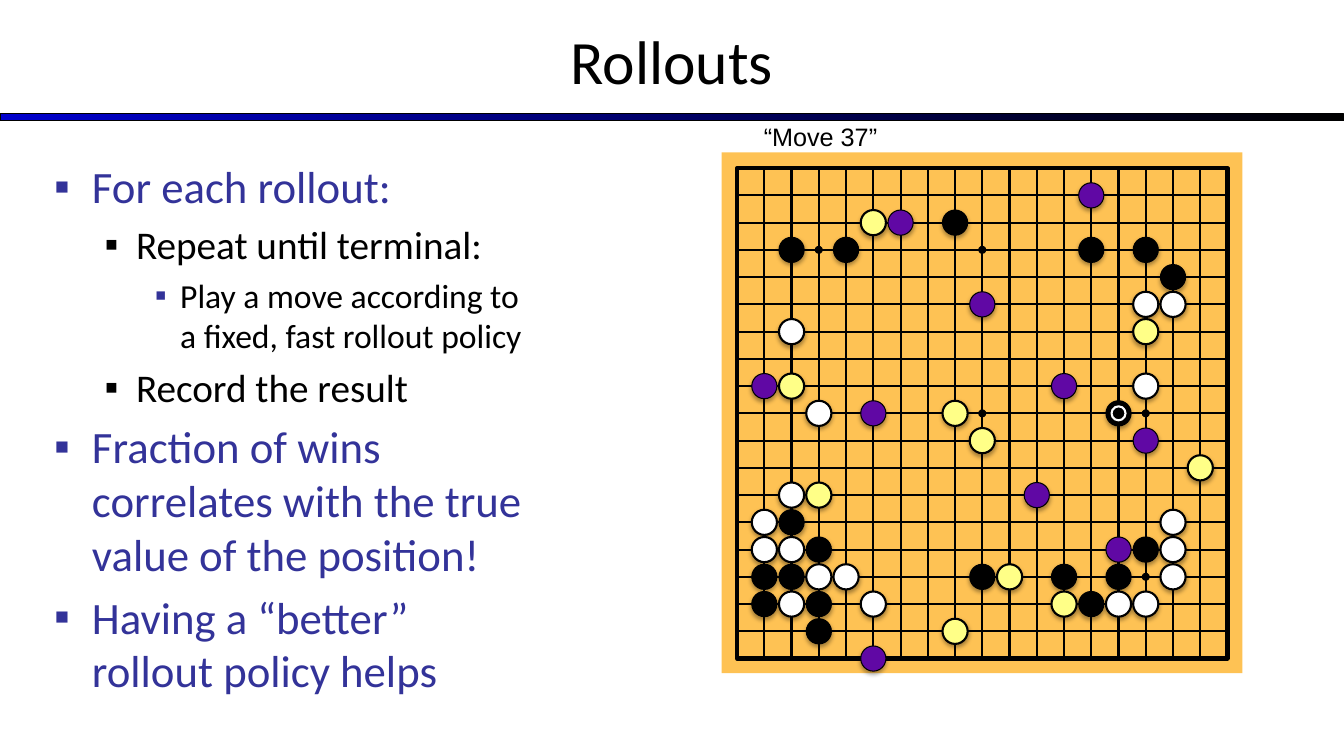
"""Builds the Rollouts slide: nested bullets beside a Go position."""
from lxml.etree import SubElement
from pptx import Presentation
from pptx.dml.color import RGBColor
from pptx.enum.shapes import MSO_CONNECTOR as Connector, MSO_SHAPE as Shape
from pptx.enum.text import MSO_ANCHOR as Anchor, MSO_AUTO_SIZE as AutoSize, PP_ALIGN as Align
from pptx.oxml.ns import qn
from pptx.util import Pt

BLACK = RGBColor(0x00, 0x00, 0x00)
WHITE = RGBColor(0xFF, 0xFF, 0xFF)
BLUE = RGBColor(0x00, 0x00, 0xCC)
INDIGO = RGBColor(0x33, 0x33, 0x99)
WOOD = RGBColor(0xFE, 0xC2, 0x54)
YELLOW = RGBColor(0xFF, 0xFF, 0x87)
PURPLE = RGBColor(0x60, 0x08, 0xA4)

GRID_LEFT, GRID_TOP, GRID_SIZE, INTERVALS = 526.5, 120.1, 350.3, 18
STEP = GRID_SIZE / INTERVALS
MIDDLE = INTERVALS // 2

LEVELS = [
    {"size": 32, "color": INDIGO, "bullet": INDIGO, "left": 27, "hang": 27},
    {"size": 28, "color": BLACK, "bullet": BLACK, "left": 58.5, "hang": 22.5},
    {"size": 24, "color": BLACK, "bullet": INDIGO, "left": 90, "hang": 18},
]
POINTS = [
    (0, "For each rollout:"),
    (1, "Repeat until terminal:"),
    (2, "Play a move according to a fixed, fast rollout policy"),
    (1, "Record the result"),
    (0, "Fraction of wins correlates with the true value of the position!"),
    (0, "Having a “better” rollout policy helps"),
]

STAR_POINTS = [(3, 3), (9, 3), (15, 3), (9, 9), (15, 9), (9, 15), (15, 15)]
MOVE_37 = (14, 9)
STONES = [
    (BLACK, 0.75, [(2, 3), (4, 3), (8, 2), (13, 3), (15, 3), (16, 4), MOVE_37,
                   (2, 13), (3, 14), (1, 15), (2, 15), (1, 16), (3, 16), (3, 17),
                   (9, 15), (12, 15), (14, 15), (15, 14), (13, 16)]),
    (WHITE, 1.5, [(2, 6), (3, 9), (2, 12), (1, 13), (1, 14), (2, 14), (3, 15),
                  (4, 15), (2, 16), (5, 16), (15, 5), (16, 5), (15, 8), (16, 13),
                  (16, 14), (16, 15), (14, 16), (15, 16)]),
    (YELLOW, 1.5, [(5, 2), (15, 6), (2, 8), (8, 9), (9, 10), (17, 11), (3, 12),
                   (10, 15), (12, 16), (8, 17)]),
    (PURPLE, 0.75, [(13, 1), (6, 2), (9, 5), (1, 8), (12, 8), (5, 9), (15, 10),
                    (11, 12), (14, 14), (5, 18)]),
]


class SlideBuilder:
    """Holds the fonts and the current slide, and draws each kind of element."""

    def __init__(self, slide, text_font, label_font):
        self.slide = slide
        self.text_font = text_font
        self.label_font = label_font

    def place(self, shape, left, top, width, height):
        """Moves a shape to a position in points."""
        box = {"left": left, "top": top, "width": width, "height": height}
        for name, value in box.items():
            setattr(shape, name, Pt(value))

    def add_text(self, paragraph, text, font_name, size, color):
        """Adds one formatted run."""
        run = paragraph.add_run()
        run.text = text
        for name, value in {"name": font_name, "size": Pt(size)}.items():
            setattr(run.font, name, value)
        run.font.color.rgb = color

    def title(self, text, *box):
        """Fills the title placeholder."""
        heading = self.slide.shapes.title
        self.place(heading, *box)
        frame = heading.text_frame
        frame_format = {"vertical_anchor": Anchor.MIDDLE, "word_wrap": True,
                        "auto_size": AutoSize.NONE}
        for name, value in frame_format.items():
            setattr(frame, name, value)
        frame.paragraphs[0].alignment = Align.CENTER
        self.add_text(frame.paragraphs[0], text, self.text_font, 44, BLACK)

    def bullets(self, points, *box):
        """Fills the body placeholder with a nested list."""
        body = self.slide.placeholders[1]
        self.place(body, *box)
        frame = body.text_frame
        frame.auto_size = AutoSize.NONE
        for index, (level, text) in enumerate(points):
            style = LEVELS[level]
            paragraph = frame.add_paragraph() if index else frame.paragraphs[0]
            paragraph.level = level
            paragraph.space_before = Pt(style["size"] * 0.2 if index else 0)
            self.bullet(paragraph, style)
            self.add_text(paragraph, text, self.text_font, style["size"], style["color"])

    def bullet(self, paragraph, style):
        """Gives a paragraph its square bullet and hanging indent."""
        properties = paragraph._p.get_or_add_pPr()
        properties.set("marL", str(Pt(style["left"])))
        properties.set("indent", str(-Pt(style["hang"])))
        color = SubElement(properties, qn("a:buClr"))
        SubElement(color, qn("a:srgbClr"), val=str(style["bullet"]))
        SubElement(properties, qn("a:buFont"), typeface=self.label_font)
        SubElement(properties, qn("a:buChar"), char="▪")

    def label(self, text, *box):
        """Adds a one-line text box."""
        caption = self.slide.shapes.add_textbox(*map(Pt, box))
        caption.text_frame.word_wrap = False
        self.add_text(caption.text_frame.paragraphs[0], text, self.label_font, 18, BLACK)

    def shape(self, kind, box, fill=None, line=None, weight=0.75):
        """Adds a preset shape without a shadow."""
        shape = self.slide.shapes.add_shape(kind, *map(Pt, box))
        shape.shadow.inherit = False
        if fill is None:
            shape.fill.background()
        else:
            shape.fill.solid()
            shape.fill.fore_color.rgb = fill
        if line is None:
            shape.line.fill.background()
        else:
            shape.line.color.rgb = line
            shape.line.width = Pt(weight)
        return shape

    def gradient_bar(self, colors, *box):
        """Adds a rule that shades from left to right."""
        bar = self.shape(Shape.RECTANGLE, box, line=BLACK)
        bar.fill.gradient()
        bar.fill.gradient_angle = 0
        for stop, color in zip(bar.fill.gradient_stops, colors):
            stop.color.rgb = color

    def disc(self, point, size, fill, line, weight=0.75):
        """Centres a circle on a grid point."""
        column, row = point
        box = (GRID_LEFT + column * STEP - size / 2,
               GRID_TOP + row * STEP - size / 2, size, size)
        return self.shape(Shape.OVAL, box, fill, line, weight)

    def cast_shadow(self, shape):
        """Adds a soft shadow below a shape."""
        effects = shape._element.spPr.find(qn("a:effectLst"))
        shadow = SubElement(effects, qn("a:outerShdw"), blurRad=str(Pt(3.1)),
                            dist=str(Pt(1.8)), dir="5400000", rotWithShape="0")
        color = SubElement(shadow, qn("a:srgbClr"), val=str(BLACK))
        SubElement(color, qn("a:alpha"), val="35000")

    def line(self, *ends):
        """Adds a thin grid line."""
        line = self.slide.shapes.add_connector(Connector.STRAIGHT, *map(Pt, ends))
        line.line.color.rgb = BLACK
        line.line.width = Pt(1.5)
        SubElement(line._element.spPr, qn("a:effectLst"))
        return line

    def grid(self):
        """Draws the frame and its inner lines."""
        frame = self.shape(Shape.RECTANGLE, (GRID_LEFT, GRID_TOP, GRID_SIZE, GRID_SIZE),
                           line=BLACK, weight=3)
        right, bottom = GRID_LEFT + GRID_SIZE, GRID_TOP + GRID_SIZE
        for index in range(1, INTERVALS):
            x, y = GRID_LEFT + index * STEP, GRID_TOP + index * STEP
            row = self.line(GRID_LEFT, y, right, y)
            column = self.line(x, GRID_TOP, x, bottom)
            if index == MIDDLE:
                for line, start, end in ((row, 1, 3), (column, 0, 2)):
                    line.begin_connect(frame, start)
                    line.end_connect(frame, end)


def main():
    """Builds and saves the slide."""
    deck = Presentation()
    deck.slide_width, deck.slide_height = Pt(960), Pt(540)
    builder = SlideBuilder(deck.slides.add_slide(deck.slide_layouts[1]), "Calibri", "Arial")
    builder.gradient_bar((BLUE, BLACK), 0, 81.4, 960, 5)
    builder.title("Rollouts", 0, -2, 960, 90)
    builder.bullets(POINTS, 31.5, 110, 358, 372)
    builder.shape(Shape.RECTANGLE, (515.5, 108.9, 372, 372), WOOD)
    builder.grid()
    for point in STAR_POINTS:
        builder.disc(point, 5, BLACK, BLACK)
    for color, weight, points in STONES:
        for point in points:
            builder.cast_shadow(builder.disc(point, 18, color, BLACK, weight))
    builder.cast_shadow(builder.disc(MOVE_37, 10, None, WHITE, 1.5))
    builder.label("“Move 37”", 538.5, 83, 96.5, 29)
    deck.save("out.pptx")


if __name__ == "__main__":
    main()
